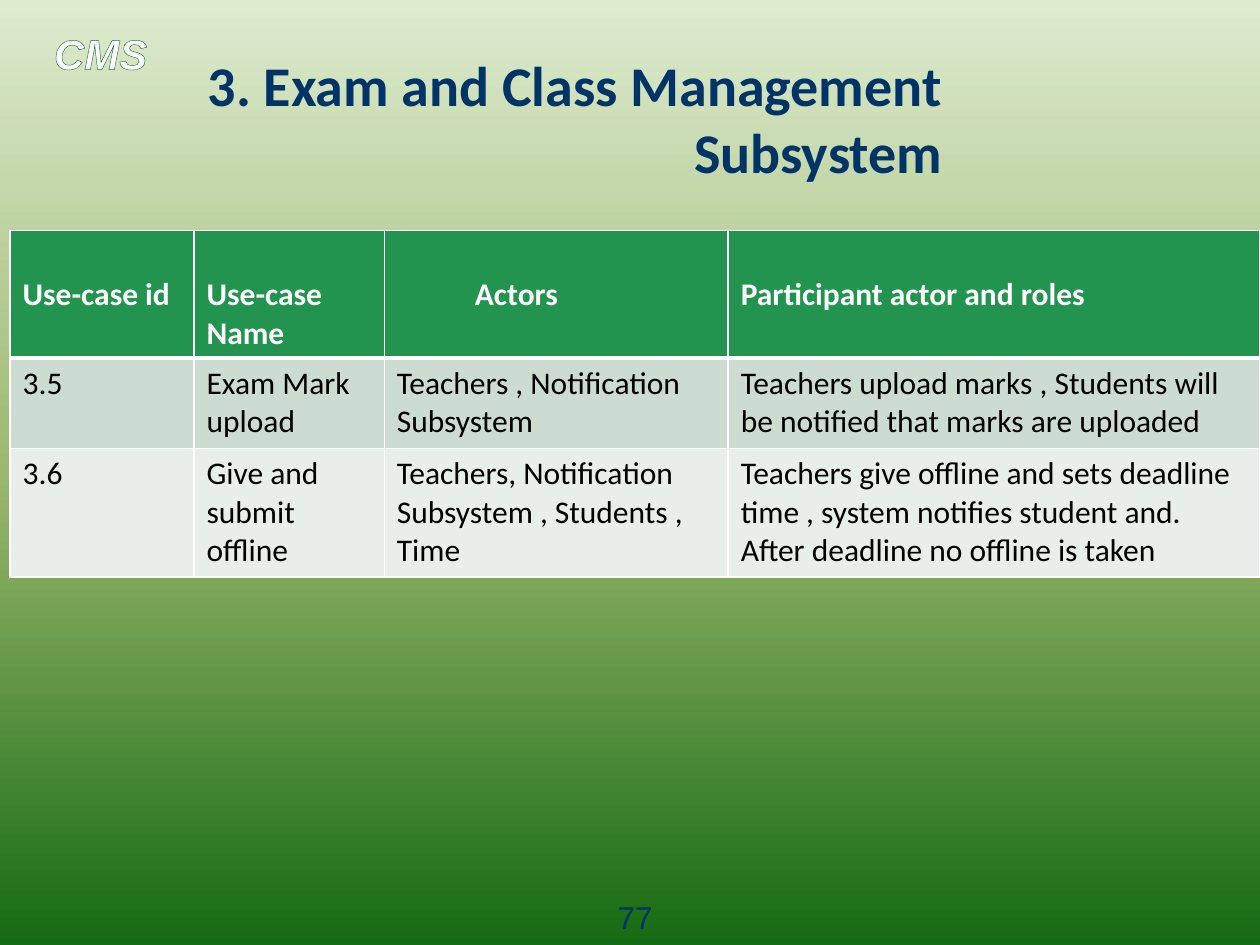
from copy import deepcopy

from lxml import etree
from pptx import Presentation
from pptx.dml.color import RGBColor
from pptx.enum.text import MSO_ANCHOR, PP_ALIGN
from pptx.oxml.ns import qn
from pptx.util import Inches, Pt

LEFT, CENTER, RIGHT = PP_ALIGN.LEFT, PP_ALIGN.CENTER, PP_ALIGN.RIGHT
TOP, MIDDLE = MSO_ANCHOR.TOP, MSO_ANCHOR.MIDDLE

NAVY, WHITE, BLACK = "003366", "FFFFFF", "000000"
BACKGROUND_STOPS = [(0, "DDEBCF"), (0.5, "9CB86E"), (1, "156B13")]
ROW_FILLS = ["229450", "CDDCD0", "E8EEE9"]
COLUMN_WIDTHS = [1.46, 1.51, 2.73, 4.22]
ROW_HEIGHTS = [1.01, 0.72, 1.02]
USE_CASES = [
    ["Use-case id", "Use-case Name", "Actors", "Participant actor and roles"],
    ["3.5", "Exam Mark upload", "Teachers , Notification Subsystem",
     "Teachers upload marks , Students will be notified that marks are uploaded"],
    ["3.6", "Give and submit offline",
     "Teachers, Notification Subsystem , Students , Time",
     "Teachers give offline and sets deadline time , system notifies student and. "
     "After deadline no offline is taken"],
]


def color(value):
    return RGBColor.from_string(value)


def style_text(frame, font, size, ink, bold=False, italic=False, align=LEFT):
    for para in frame.paragraphs:
        para.alignment = align
        for span in para.runs:
            span.font.name = font
            span.font.size = Pt(size)
            span.font.bold = bold
            span.font.italic = italic
            span.font.color.rgb = color(ink)


def add_line(parent, tag, index, ink, points):
    line = etree.Element(qn(tag), w=str(Pt(points)))
    fill = etree.SubElement(line, qn("a:solidFill"))
    etree.SubElement(fill, qn("a:srgbClr"), val=ink)
    parent.insert(index, line)


def add_text(page, text, left, top, width, height, anchor=TOP, **style):
    box = page.shapes.add_textbox(Inches(left), Inches(top), Inches(width), Inches(height))
    frame = box.text_frame
    frame.word_wrap = True
    frame.vertical_anchor = anchor
    frame.text = text
    style_text(frame, **style)
    return box


def paint_background(page):
    fill = page.background.fill
    fill.gradient()
    fill.gradient_angle = 270
    first = next(page.element.iter(qn("a:gs")))
    first.addnext(deepcopy(first))
    for stop, (position, ink) in zip(fill.gradient_stops, BACKGROUND_STOPS):
        stop.position = position
        stop.color.rgb = color(ink)


def add_logo_text(page, left, top, width, height):
    box = add_text(page, "CMS", left, top, width, height,
                   font="Arial", size=24, ink=WHITE, bold=True, italic=True)
    span = box.text_frame.paragraphs[0].runs[0]
    add_line(span.font._element, "a:ln", 0, "196F3C", 1)


def add_use_case_table(page, left, top):
    frame = page.shapes.add_table(
        len(USE_CASES), len(COLUMN_WIDTHS), Inches(left), Inches(top),
        Inches(sum(COLUMN_WIDTHS)), Inches(sum(ROW_HEIGHTS)))
    table = frame.table
    for column, width in zip(table.columns, COLUMN_WIDTHS):
        column.width = Inches(width)
    for row_index, texts in enumerate(USE_CASES):
        table.rows[row_index].height = Inches(ROW_HEIGHTS[row_index])
        header = row_index == 0
        edges = {"a:lnL": 1, "a:lnR": 1,
                 "a:lnT": 3 if row_index == 1 else 1, "a:lnB": 3 if header else 1}
        for column_index, text in enumerate(texts):
            cell = table.cell(row_index, column_index)
            cell.text = text
            # Header text starts one line down, and "Actors" is indented
            cell.margin_top = Inches(0.36 if header else 0.05)
            cell.margin_left = Inches(0.72 if text == "Actors" else 0.1)
            style_text(cell.text_frame, "Calibri", 18, WHITE if header else BLACK, bold=header)
            properties = cell._tc.get_or_add_tcPr()
            for index, (tag, points) in enumerate(edges.items()):
                add_line(properties, tag, index, WHITE, points)
            cell.fill.solid()
            cell.fill.fore_color.rgb = color(ROW_FILLS[row_index])


def main():
    deck = Presentation()
    deck.slide_width, deck.slide_height = Inches(10), Inches(7.5)
    page = deck.slides.add_slide(deck.slide_layouts[6])
    paint_background(page)
    add_logo_text(page, 0.33, 0.17, 1.5, 0.5)
    # Title
    add_text(page, "3. Exam and Class Management Subsystem", 0.58, 0.67, 7, 0.53,
             anchor=MIDDLE, font="Calibri", size=32, ink=NAVY, bold=True, align=RIGHT)
    add_use_case_table(page, 0.08, 1.83)
    # Page number
    add_text(page, "77", 4.58, 7.08, 0.92, 0.29,
             font="Arial", size=18, ink=NAVY, align=CENTER)
    deck.save("out.pptx")


if __name__ == "__main__":
    main()
